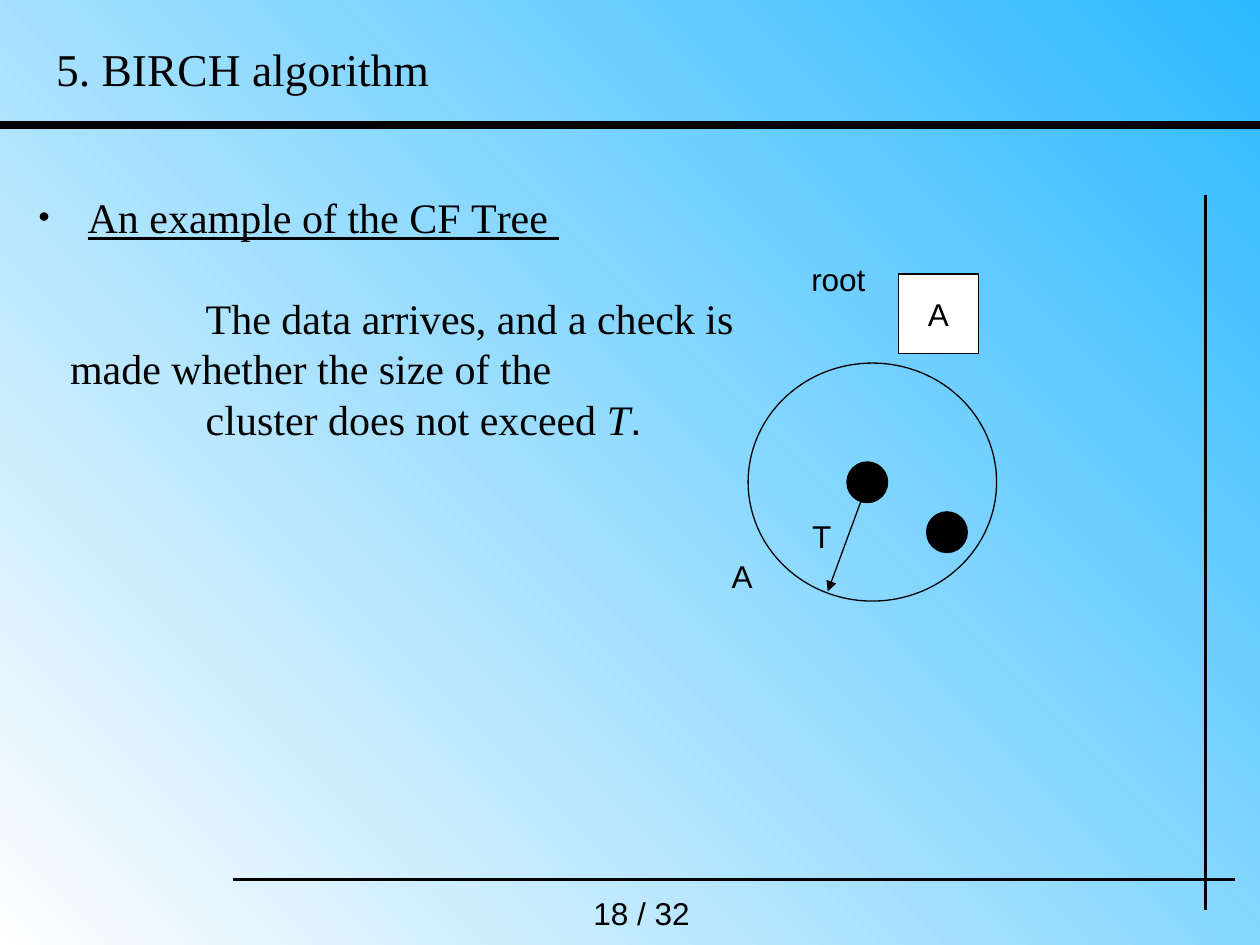
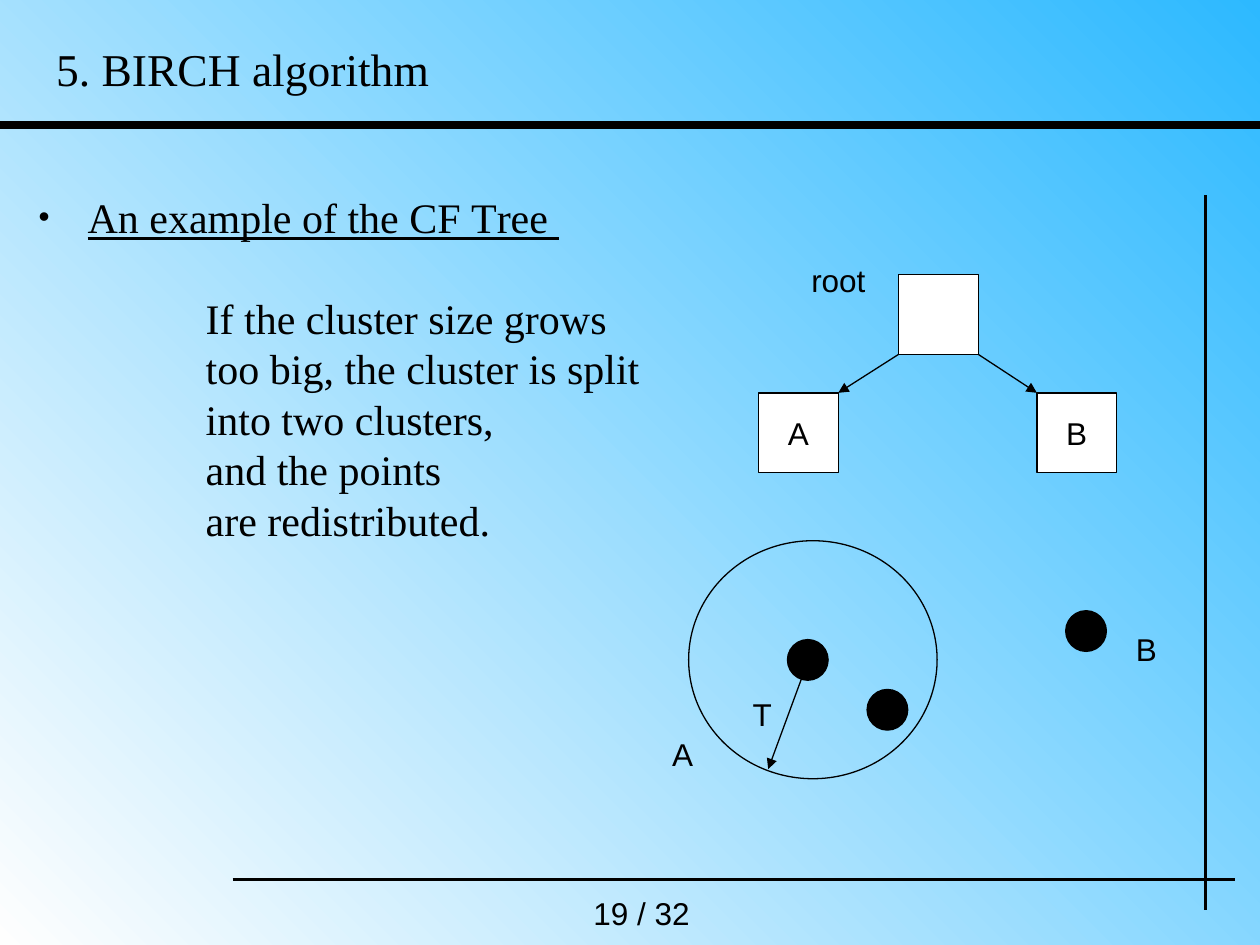
import dataclasses

import pptx
import pptx.dml.color
import pptx.enum.shapes
import pptx.enum.text
import pptx.oxml.ns
import pptx.util
from lxml import etree

Pt = pptx.util.Pt
SHAPES = pptx.enum.shapes.MSO_SHAPE
ALIGN = pptx.enum.text.PP_ALIGN
ANCHOR = pptx.enum.text.MSO_ANCHOR


@dataclasses.dataclass(frozen=True)
class Theme:
    ink: str = "000000"
    paper: str = "FFFFFF"
    sky: str = "2DB9FF"
    haze: str = "FEFEFE"
    serif: str = "Times New Roman"
    sans: str = "Arial"
    title_size: float = 26
    body_size: float = 24
    label_size: float = 18
    body_leading: float = 28.8
    hairline: float = 0.75
    frame_line: float = 2
    title_rule: float = 4.5


THEME = Theme()

# Content
TITLE = "5. BIRCH algorithm"
HEADING = "An example of the CF Тree "
PAGE_COUNT = 32
PAGES = [
    {
        "number": 18,
        "body": [
            ["The data arrives, and a check is made whether the size of the"],
            ["cluster does not exceed ", ("T", {"italic": True}), (".", {"font": THEME.sans})],
        ],
        "body_height": 151,
        "root": ("A", 513.5, 156.5),
        "children": [],
        "cluster": (427.5, 207.5),
        "outlier": None,
    },
    {
        "number": 19,
        "body": [
            ["If the cluster size grows"],
            ["too big, the cluster is split"],
            ["into two clusters,"],
            ["and the points"],
            ["are redistributed."],
        ],
        "body_height": 209,
        "root": ("", 513.5, 157),
        "children": [("A", 433.5, 224.5), ("B", 592.5, 224.5)],
        "cluster": (393.5, 309),
        "outlier": ("B", 609, 349),
    },
]

# Layout
PAGE_WIDTH, PAGE_HEIGHT = 720, 540
FRAME_LINES = [
    ((0, 71.5), (PAGE_WIDTH, 71.5), THEME.title_rule),
    ((133, 502.5), (705.5, 502.5), THEME.frame_line),
    ((689, 520), (689, 111.5), THEME.frame_line),
]
NODE_SIZE = 45.5
DOT_SIZE = 23.25
LABEL_HEIGHT = 29
CLUSTER_SIZE = (142, 136)
CLUSTER_DOTS = [(56.5, 56.5), (102, 85)]
RADIUS_START, RADIUS_END = (68.5, 68), (45.5, 130.5)
CLUSTER_LABELS = [("A", -16.5, 107.5), ("T", 29.5, 84.5)]
BULLET_LEFT, HEADING_LEFT = 18, 46
BODY_LEFT, BODY_FIRST_LEFT = 36, 113.5


def color(value):
    return pptx.dml.color.RGBColor.from_string(value)


def write(para, text, *, font=THEME.sans, size=THEME.label_size,
          italic=False, underline=False):
    span = para.add_run()
    span.text = text
    span.font.name = font
    span.font.size = Pt(size)
    span.font.italic = italic
    span.font.underline = underline
    span.font.color.rgb = color(THEME.ink)


def add_box(page, left, top, width, height, wrap=True):
    box = page.shapes.add_textbox(Pt(left), Pt(top), Pt(width), Pt(height))
    box.text_frame.word_wrap = wrap
    return box.text_frame


def add_label(page, text, left, top, width=26):
    write(add_box(page, left, top, width, LABEL_HEIGHT, wrap=False).paragraphs[0], text)


def add_line(page, start, end, weight=THEME.hairline, arrow=False):
    line = page.shapes.add_connector(
        pptx.enum.shapes.MSO_CONNECTOR.STRAIGHT, *map(Pt, start + end))
    line.line.color.rgb = color(THEME.ink)
    line.line.width = Pt(weight)
    if arrow:
        etree.SubElement(line.line._get_or_add_ln(), pptx.oxml.ns.qn("a:tailEnd"),
                         type="triangle")
    etree.SubElement(line._element.spPr, pptx.oxml.ns.qn("a:effectLst"))


def add_figure(page, kind, left, top, width, height, fill=None):
    figure = page.shapes.add_shape(kind, Pt(left), Pt(top), Pt(width), Pt(height))
    figure.shadow.inherit = False
    if fill:
        figure.fill.solid()
        figure.fill.fore_color.rgb = color(fill)
    else:
        figure.fill.background()
    figure.line.color.rgb = color(THEME.ink)
    figure.line.width = Pt(THEME.hairline)
    return figure


def add_node(page, name, left, top):
    node = add_figure(page, SHAPES.RECTANGLE, left, top, NODE_SIZE, NODE_SIZE, THEME.paper)
    if name:
        node.text_frame.word_wrap = False
        node.text_frame.vertical_anchor = ANCHOR.MIDDLE
        para = node.text_frame.paragraphs[0]
        para.alignment = ALIGN.CENTER
        write(para, name)


def add_dot(page, left, top):
    add_figure(page, SHAPES.OVAL, left, top, DOT_SIZE, DOT_SIZE, THEME.ink)


def indent(para, left, first):
    """Set the left edge of a paragraph and of its first line."""
    properties = para._p.get_or_add_pPr()
    properties.set("marL", str(Pt(left)))
    properties.set("indent", str(Pt(first - left)))
    return properties


def add_bullet(properties):
    for tag, attributes in [
        ("a:buSzPct", {"val": str(round(100000 * THEME.label_size / THEME.body_size))}),
        ("a:buFont", {"typeface": THEME.sans}),
        ("a:buChar", {"char": "•"}),
    ]:
        etree.SubElement(properties, pptx.oxml.ns.qn(tag), **attributes)


def add_body(page, lines, height):
    frame = add_box(page, -3, 106, 471, height)
    body_format = {"font": THEME.serif, "size": THEME.body_size}

    heading = frame.paragraphs[0]
    heading.line_spacing = Pt(THEME.body_leading)
    add_bullet(indent(heading, HEADING_LEFT, BULLET_LEFT))
    write(heading, HEADING, underline=True, **body_format)

    for index, spans in enumerate(lines):
        para = frame.add_paragraph()
        para.line_spacing = Pt(THEME.body_leading)
        if index == 0:
            para.space_before = Pt(THEME.body_leading)
        indent(para, BODY_LEFT, BODY_FIRST_LEFT)
        for span in spans:
            text, changes = (span, {}) if isinstance(span, str) else span
            write(para, text, **{**body_format, **changes})


def add_tree(page, root, children):
    name, left, top = root
    add_node(page, name, left, top)
    add_label(page, "root", left - 57, top - 11.5, width=45.5)
    for child, child_left, child_top in children:
        add_node(page, child, child_left, child_top)
        on_left = child_left < left
        start = (left if on_left else left + NODE_SIZE, top + NODE_SIZE)
        end = (child_left + NODE_SIZE if on_left else child_left, child_top)
        add_line(page, start, end, arrow=True)


def add_cluster(page, left, top):
    def place(point):
        return left + point[0], top + point[1]

    for dot in CLUSTER_DOTS:
        add_dot(page, *place(dot))
    add_figure(page, SHAPES.OVAL, left, top, *CLUSTER_SIZE)
    add_line(page, place(RADIUS_START), place(RADIUS_END), arrow=True)
    for text, *point in CLUSTER_LABELS:
        add_label(page, text, *place(point))


def add_frame(page, number):
    """Draw the background, rules, title and page number that all pages share."""
    fill = page.background.fill
    fill.gradient()
    fill.gradient_angle = 225
    for stop, shade in zip(fill.gradient_stops, (THEME.sky, THEME.haze)):
        stop.color.rgb = color(shade)
    for start, end, weight in FRAME_LINES:
        add_line(page, start, end, weight)
    write(add_box(page, 25, 20, 680, 39).paragraphs[0], TITLE,
          font=THEME.serif, size=THEME.title_size)
    write(add_box(page, 332, 507.5, 73.5, LABEL_HEIGHT).paragraphs[0],
          f"{number} / {PAGE_COUNT}")


def main():
    deck = pptx.Presentation()
    deck.slide_width, deck.slide_height = Pt(PAGE_WIDTH), Pt(PAGE_HEIGHT)
    for content in PAGES:
        page = deck.slides.add_slide(deck.slide_layouts[6])
        add_frame(page, content["number"])
        add_body(page, content["body"], content["body_height"])
        add_tree(page, content["root"], content["children"])
        add_cluster(page, *content["cluster"])
        if content["outlier"]:
            name, left, top = content["outlier"]
            add_dot(page, left, top)
            add_label(page, name, left + 33, top + 7.5)
    deck.save("out.pptx")


if __name__ == "__main__":
    main()
